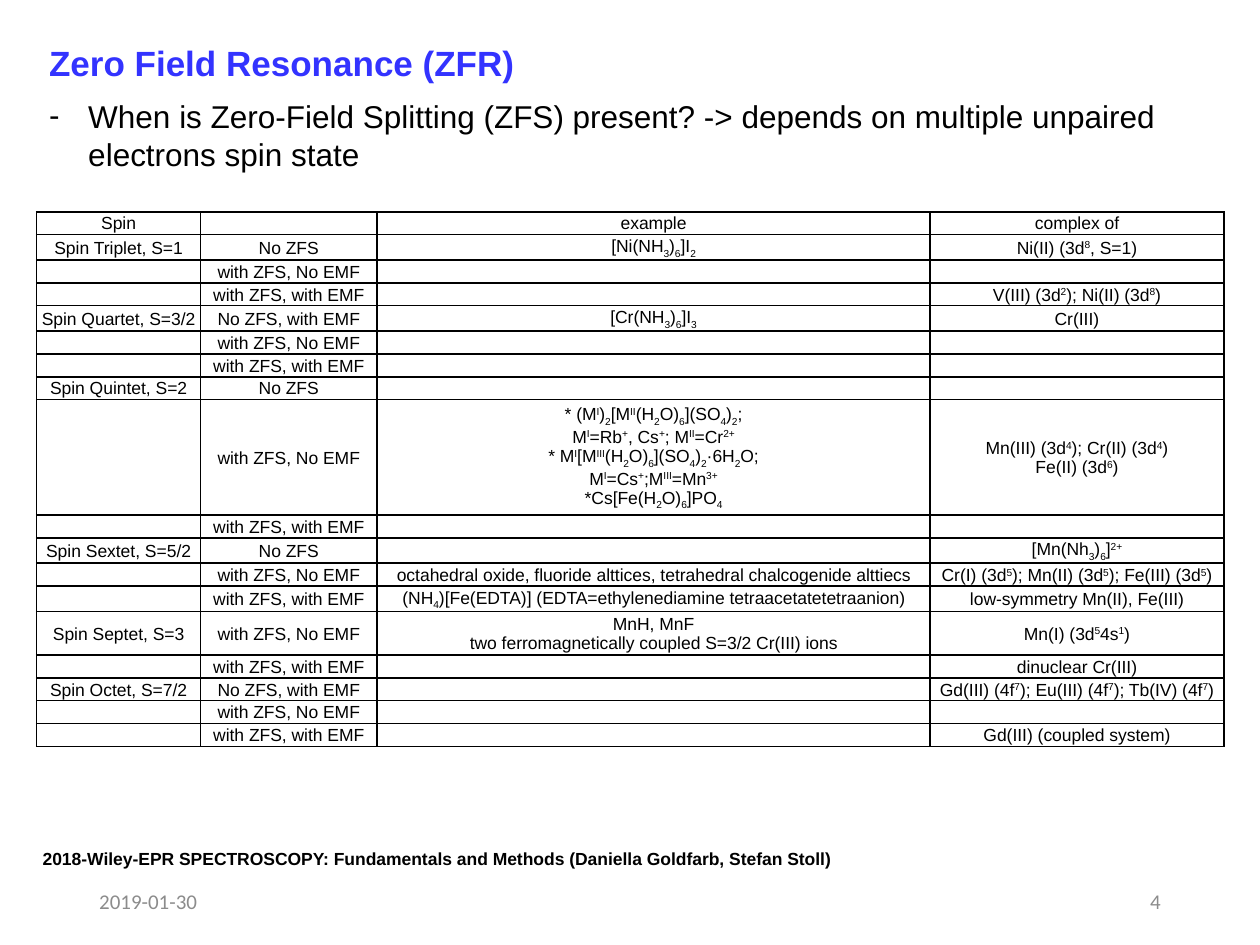
"""Build the zero field resonance slide with its table of spin states."""
import lxml.etree
import pptx
import pptx.dml.color
import pptx.enum.text
import pptx.oxml.ns
import pptx.util

Cm, Pt = pptx.util.Cm, pptx.util.Pt
Align, Anchor = pptx.enum.text.PP_ALIGN, pptx.enum.text.MSO_ANCHOR
qn = pptx.oxml.ns.qn
BLUE = pptx.dml.color.RGBColor(0x33, 0x33, 0xFF)
BLACK = pptx.dml.color.RGBColor(0, 0, 0)
GREY = pptx.dml.color.RGBColor(0x8C, 0x8C, 0x8C)

TITLE = {"name": "Arial", "size": Pt(20), "bold": True}
POINT = {"name": "Arial", "size": Pt(18)}
SOURCE = {"name": "Arial", "size": Pt(10), "bold": True}
FOOT = {"name": "Calibri", "size": Pt(12)}
BODY = {"name": "Arial", "size": Pt(10)}
CELL = {"margin_left": Cm(0.03), "margin_right": Cm(0.03), "margin_top": Cm(0.03),
        "margin_bottom": 0, "vertical_anchor": Anchor.MIDDLE}
SHIFT = {"_": "-25000", "^": "30000"}

NO, NO_EMF, EMF = "No ZFS", "with ZFS, No EMF", "with ZFS, with EMF"
NO_WITH = "No ZFS, with EMF"
SALTS = "\n".join([
    "* (M|^I|)|_2|[M|^II|(H|_2|O)|_6|](SO|_4|)|_2|;",
    "M|^I|=Rb|^+|, Cs|^+|; M|^II|=Cr|^2+|",
    "* M|^I|[M|^III|(H|_2|O)|_6|](SO|_4|)|_2|·6H|_2|O;",
    "M|^I|=Cs|^+|;M|^III|=Mn|^3+|",
    "*Cs[Fe(H|_2|O)|_6|]PO|_4|"])
ROWS = [
    ("Spin", "", "example", "complex of"),
    ("Spin Triplet, S=1", NO, "[Ni(NH|_3|)|_6|]I|_2|", "Ni(II) (3d|^8|, S=1)"),
    ("", NO_EMF, "", ""),
    ("", EMF, "", "V(III) (3d|^2|); Ni(II) (3d|^8|)"),
    ("Spin Quartet, S=3/2", NO_WITH, "[Cr(NH|_3|)|_6|]I|_3|", "Cr(III)"),
    ("", NO_EMF, "", ""),
    ("", EMF, "", ""),
    ("Spin Quintet, S=2", NO, "", ""),
    ("", NO_EMF, SALTS, "Mn(III) (3d|^4|); Cr(II) (3d|^4|)\nFe(II) (3d|^6|)"),
    ("", EMF, "", ""),
    ("Spin Sextet, S=5/2", NO, "", "[Mn(Nh|_3|)|_6|]|^2+|"),
    ("", NO_EMF,
     "octahedral oxide, fluoride alttices, tetrahedral chalcogenide alttiecs",
     "Cr(I) (3d|^5|); Mn(II) (3d|^5|); Fe(III) (3d|^5|)"),
    ("", EMF,
     "(NH|_4|)[Fe(EDTA)] (EDTA=ethylenediamine tetraacetatetetraanion)",
     "low-symmetry Mn(II), Fe(III)"),
    ("Spin Septet, S=3", NO_EMF,
     "MnH, MnF\ntwo ferromagnetically coupled S=3/2 Cr(III) ions",
     "Mn(I) (3d|^5|4s|^1|)"),
    ("", EMF, "", "dinuclear Cr(III)"),
    ("Spin Octet, S=7/2", NO_WITH, "",
     "Gd(III) (4f|^7|); Eu(III) (4f|^7|); Tb(IV) (4f|^7|)"),
    ("", NO_EMF, "", ""),
    ("", EMF, "", "Gd(III) (coupled system)"),
]
WIDTHS = [3.3, 3.56, 11.15, 5.92]
TALL = {8: 2.24, 13: 0.66}


def apply(item, form):
    for name, value in form.items():
        setattr(item, name, value)


def add_run(para, text, form, color):
    run = para.add_run()
    run.text = text
    apply(run.font, form)
    run.font.color.rgb = color
    return run


def add_text(slide, place, text, form, color, anchor=Anchor.TOP, align=Align.LEFT):
    frame = slide.shapes.add_textbox(*map(Cm, place)).text_frame
    apply(frame, {"word_wrap": True, "vertical_anchor": anchor})
    para = frame.paragraphs[0]
    para.alignment = align
    add_run(para, text, form, color)
    return para


def add_dash(para):
    props = para._p.get_or_add_pPr()
    props.set("marL", str(Cm(0.79)))
    props.set("indent", str(-Cm(0.79)))
    lxml.etree.SubElement(props, qn("a:buFont")).set("typeface", "Arial")
    lxml.etree.SubElement(props, qn("a:buChar")).set("char", "-")


def add_size(node, tag):
    lxml.etree.SubElement(node, qn(tag)).set("sz", str(BODY["size"].centipoints))


def fill_text(para, text):
    para.alignment = Align.CENTER
    for row, line in enumerate(text.split("\n")):
        if row:
            para.add_line_break()
            add_size(para._p[-1], "a:rPr")
        for part in filter(None, line.split("|")):
            shift = SHIFT.get(part[0])
            run = add_run(para, part[1:] if shift else part, BODY, BLACK)
            if shift:
                run.font._element.set("baseline", shift)
    add_size(para._p, "a:endParaRPr")


def add_edges(cell):
    props = cell._tc.get_or_add_tcPr()
    for side in "LRTB":
        line = lxml.etree.SubElement(props, qn("a:ln" + side), w=str(Pt(1)))
        paint = lxml.etree.SubElement(line, qn("a:solidFill"))
        lxml.etree.SubElement(paint, qn("a:srgbClr")).set("val", str(BLACK))


def add_grid(slide):
    heights = [TALL.get(row, 0.46) for row in range(len(ROWS))]
    table = slide.shapes.add_table(
        len(ROWS), len(WIDTHS), Cm(0.74), Cm(4.27),
        Cm(sum(WIDTHS)), Cm(sum(heights))).table
    apply(table, {"first_row": False, "horz_banding": False})
    for column, width in zip(table.columns, WIDTHS):
        column.width = Cm(width)
    for line, height, texts in zip(table.rows, heights, ROWS):
        line.height = Cm(height)
        for cell, text in zip(line.cells, texts):
            apply(cell, CELL)
            add_edges(cell)
            cell.fill.background()
            fill_text(cell.text_frame.paragraphs[0], text)


def main():
    deck = pptx.Presentation()
    apply(deck, {"slide_width": Cm(25.4), "slide_height": Cm(19.05)})
    slide = deck.slides.add_slide(deck.slide_layouts[6])
    add_text(slide, (1.75, 17.65, 5.72, 1.02), "2019-01-30", FOOT, GREY, Anchor.MIDDLE)
    add_text(slide, (17.93, 17.65, 5.72, 1.02), "4", FOOT, GREY,
             Anchor.MIDDLE, Align.RIGHT)
    add_text(slide, (0.74, 0.71, 23.93, 1.12), "Zero Field Resonance (ZFR)", TITLE, BLUE)
    add_text(slide, (0.61, 16.97, 23.93, 0.69),
             "2018-Wiley-EPR SPECTROSCOPY: Fundamentals and Methods "
             "(Daniella Goldfarb, Stefan Stoll)", SOURCE, BLACK)
    add_grid(slide)
    point = add_text(slide, (0.74, 1.83, 23.65, 1.8),
                     "When is Zero-Field Splitting (ZFS) present? -> depends on "
                     "multiple unpaired electrons spin state", POINT, BLACK)
    add_dash(point)
    deck.save("out.pptx")


if __name__ == "__main__":
    main()
